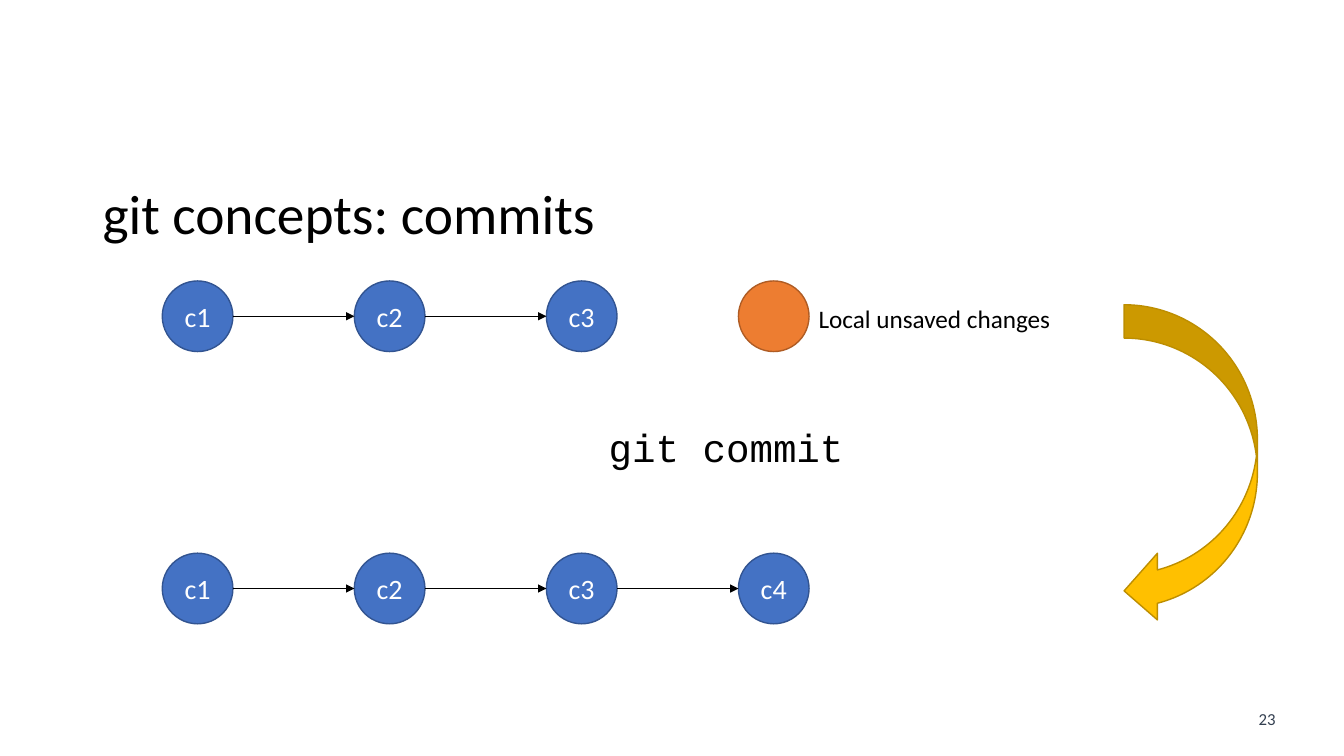
"""Build the slide that explains git commits."""
from lxml.etree import SubElement
from pptx import Presentation
from pptx.dml.color import RGBColor
from pptx.enum.shapes import MSO_CONNECTOR, MSO_SHAPE
from pptx.enum.text import MSO_ANCHOR, MSO_AUTO_SIZE, PP_ALIGN
from pptx.oxml.ns import qn
from pptx.util import Cm, Pt

BLACK = RGBColor(0x00, 0x00, 0x00)
WHITE = RGBColor(0xFF, 0xFF, 0xFF)
SLATE = RGBColor(0x33, 0x3F, 0x50)
BLUE = RGBColor(0x44, 0x72, 0xC4)
BLUE_EDGE = RGBColor(0x32, 0x54, 0x91)
ORANGE = RGBColor(0xED, 0x7D, 0x31)
ORANGE_EDGE = RGBColor(0xAF, 0x5C, 0x24)
GOLD = RGBColor(0xFF, 0xC0, 0x00)
GOLD_EDGE = RGBColor(0xBD, 0x8E, 0x00)

LEFT, STEP, SIZE = 4.09, 4.84, 1.78
BEFORE, AFTER = 7.08, 13.94


def add_filled(s, kind, x, y, w, h, fill, edge):
    sp = s.shapes.add_shape(kind, Cm(x), Cm(y), Cm(w), Cm(h))
    sp.shadow.inherit = False
    sp.fill.solid()
    sp.fill.fore_color.rgb = fill
    sp.line.color.rgb = edge
    sp.line.width = Pt(1)
    return sp


def set_text(tf, text, font, size, color, align=PP_ALIGN.LEFT):
    tf.text = text
    p = tf.paragraphs[0]
    p.alignment = align
    p.font.name = font
    p.font.size = Pt(size)
    p.font.color.rgb = color
    return p


prs = Presentation()
prs.slide_width, prs.slide_height = Cm(33.87), Cm(19.05)
s = prs.slides.add_slide(prs.slide_layouts[5])

title = s.shapes.title
title.left, title.top, title.width, title.height = Cm(2.33), Cm(4.57), Cm(29.21), Cm(1.78)
title.text_frame.vertical_anchor = MSO_ANCHOR.MIDDLE
p = set_text(title.text_frame, "git concepts: commits", "Calibri", 39.6, BLACK)
p.line_spacing = 0.9

for y, count in ((BEFORE, 3), (AFTER, 4)):
    for i in range(count):
        x = LEFT + i * STEP
        sp = add_filled(s, MSO_SHAPE.OVAL, x, y, SIZE, SIZE, BLUE, BLUE_EDGE)
        sp.text_frame.vertical_anchor = MSO_ANCHOR.MIDDLE
        set_text(sp.text_frame, f"c{i + 1}", "Calibri", 20, WHITE, PP_ALIGN.CENTER)
        if i:
            mid = Cm(y + SIZE / 2)
            line = s.shapes.add_connector(
                MSO_CONNECTOR.STRAIGHT, Cm(x - STEP + SIZE), mid, Cm(x), mid)
            line.line.color.rgb = BLACK
            line.line.width = Pt(1)
            spPr = line.element.spPr
            SubElement(spPr.find(qn("a:ln")), qn("a:tailEnd"), type="triangle")
            SubElement(spPr, qn("a:effectLst"))

add_filled(s, MSO_SHAPE.OVAL, LEFT + 3 * STEP, BEFORE, SIZE, SIZE, ORANGE, ORANGE_EDGE)
arrow = add_filled(s, MSO_SHAPE.CURVED_RIGHT_ARROW, 28.33, 7.68, 3.36, 8.05, GOLD, GOLD_EDGE)
arrow.element.spPr.find(qn("a:xfrm")).set("flipH", "1")

for text, x, y, w, h, font, size, color, align in (
    ("git commit", 15.09, 10.54, 6.48, 1.45, "Courier New", 28, BLACK, PP_ALIGN.LEFT),
    ("Local unsaved changes", 20.38, 7.52, 6.43, 1.02, "Calibri", 18, BLACK, PP_ALIGN.LEFT),
    ("23", 31.34, 17.73, 1.19, 0.76, "Calibri", 12, SLATE, PP_ALIGN.CENTER),
):
    tf = s.shapes.add_textbox(Cm(x), Cm(y), Cm(w), Cm(h)).text_frame
    tf.word_wrap = False
    tf.auto_size = MSO_AUTO_SIZE.SHAPE_TO_FIT_TEXT
    set_text(tf, text, font, size, color, align)

prs.save("out.pptx")
